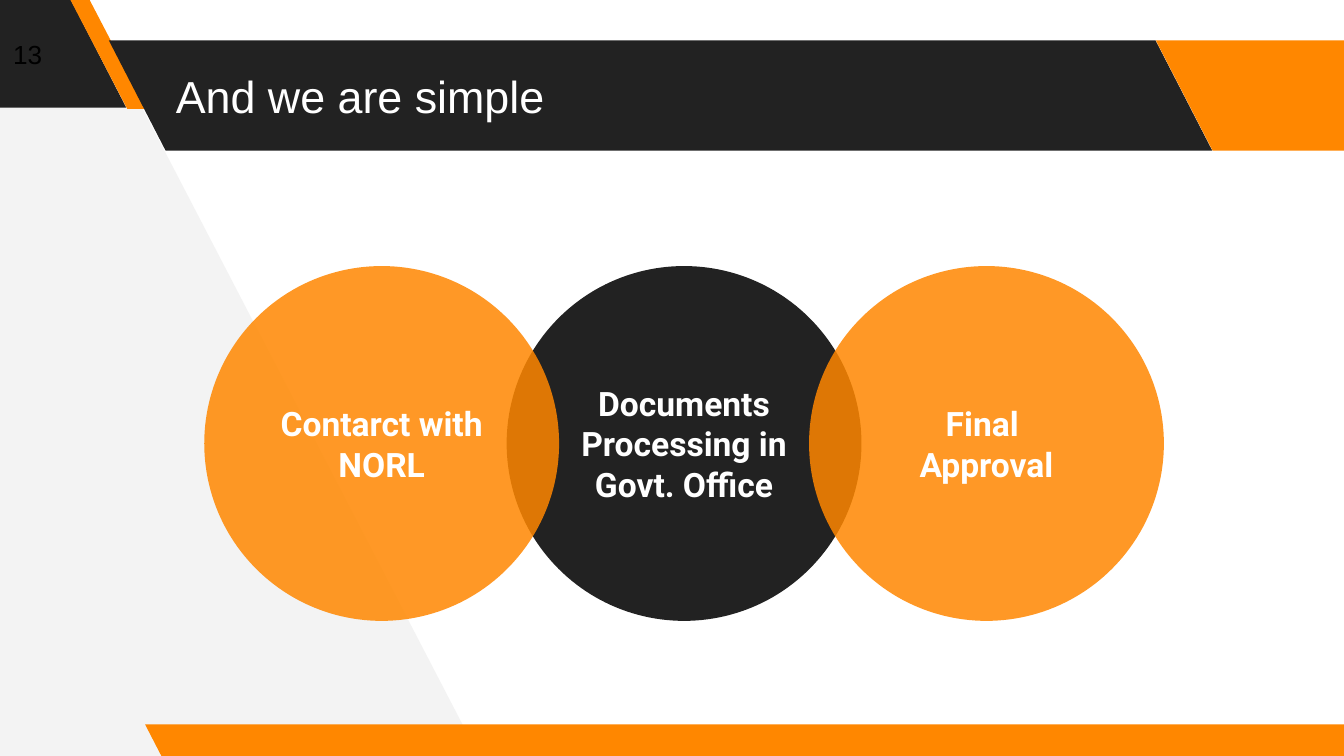
from dataclasses import dataclass

from lxml.etree import SubElement
from pptx import Presentation
from pptx.dml.color import RGBColor
from pptx.enum.shapes import MSO_SHAPE
from pptx.enum.text import MSO_ANCHOR, PP_ALIGN
from pptx.oxml.ns import qn
from pptx.shapes.autoshape import Shape
from pptx.slide import Slide
from pptx.util import Inches, Pt


@dataclass(frozen=True)
class Theme:
    dark: str = "222222"
    orange: str = "FF8700"
    pale: str = "F3F3F3"
    white: str = "FFFFFF"
    black: str = "000000"
    heading_font: str = "Arial"
    body_font: str = "Roboto"
    title_size: int = 24
    label_size: int = 18
    number_size: int = 14


THEME = Theme()


@dataclass(frozen=True)
class Band:
    left: float
    top: float
    width: float
    height: float
    color: str
    slant: float = 0.515


@dataclass(frozen=True)
class Step:
    position: int
    lines: tuple[str, ...]
    color: str
    opacity: int = 100


SLIDE_WIDTH = 10
SLIDE_HEIGHT = SLIDE_WIDTH * 9 / 16

BANDS = (
    Band(-0.99, -0.02, 1.93, 0.82, THEME.dark),
    Band(0.52, -0.01, 0.57, 0.82, THEME.orange, 0.75),
    Band(0.81, 0.3, 8.21, 0.82, THEME.dark),
    Band(8.6, 0.3, 1.92, 0.82, THEME.orange),
    Band(1.08, 5.39, 9.15, 0.25, THEME.orange),
)

# The dark middle circle comes first so the outer ones overlap it
STEPS = (
    Step(1, ("Documents Processing in Govt. Office",), THEME.dark),
    Step(0, ("Contarct with NORL",), THEME.orange, 85),
    Step(2, ("Final ", "Approval"), THEME.orange, 85),
)
CIRCLE_LEFT, CIRCLE_TOP = 1.52, 1.98
CIRCLE_SIZE, CIRCLE_STEP = 2.64, 2.25


def paint(shape: Shape, color: str, opacity: int = 100) -> None:
    shape.shadow.inherit = False
    shape.line.fill.background()
    shape.fill.solid()
    shape.fill.fore_color.rgb = RGBColor.from_string(color)
    if opacity < 100:
        color_element = shape.element.spPr.find(f".//{qn('a:srgbClr')}")
        SubElement(color_element, qn("a:alpha"), val=str(opacity * 1000))


def write(shape: Shape, lines: tuple[str, ...], font: str, size: int, color: str,
          bold: bool = False, align: PP_ALIGN = PP_ALIGN.LEFT) -> None:
    frame = shape.text_frame
    frame.word_wrap = True
    frame.vertical_anchor = MSO_ANCHOR.MIDDLE
    frame.margin_left = frame.margin_right = Inches(0.1)
    frame.margin_top = frame.margin_bottom = Inches(0.1)
    frame.text = "\n".join(lines)
    for paragraph in frame.paragraphs:
        paragraph.alignment = align
        paragraph.font.name = font
        paragraph.font.size = Pt(size)
        paragraph.font.bold = bold
        paragraph.font.color.rgb = RGBColor.from_string(color)


def add_side_panel(slide: Slide) -> None:
    builder = slide.shapes.build_freeform(Inches(3.56), Inches(5.62))
    corners = ((0.62, -0.04), (-0.06, -0.04), (-0.02, 5.66))
    builder.add_line_segments([(Inches(x), Inches(y)) for x, y in corners])
    paint(builder.convert_to_shape(), THEME.pale)


def add_band(slide: Slide, band: Band) -> None:
    shape = slide.shapes.add_shape(
        MSO_SHAPE.PARALLELOGRAM, Inches(band.left), Inches(band.top),
        Inches(band.width), Inches(band.height))
    shape.adjustments[0] = band.slant
    shape.element.spPr.find(qn("a:xfrm")).set("flipH", "1")
    paint(shape, band.color)


def add_step(slide: Slide, step: Step) -> None:
    left = CIRCLE_LEFT + step.position * CIRCLE_STEP
    circle = slide.shapes.add_shape(
        MSO_SHAPE.OVAL, Inches(left), Inches(CIRCLE_TOP),
        Inches(CIRCLE_SIZE), Inches(CIRCLE_SIZE))
    paint(circle, step.color, step.opacity)
    write(circle, step.lines, THEME.body_font, THEME.label_size, THEME.white,
          bold=True, align=PP_ALIGN.CENTER)


def main() -> None:
    presentation = Presentation()
    presentation.slide_width = Inches(SLIDE_WIDTH)
    presentation.slide_height = Inches(SLIDE_HEIGHT)
    slide = presentation.slides.add_slide(presentation.slide_layouts[6])

    # Background panel and slanted bands
    add_side_panel(slide)
    for band in BANDS:
        add_band(slide, band)

    # Title and page number
    title = slide.shapes.add_textbox(Inches(1.21), Inches(0.3), Inches(7.35), Inches(0.82))
    write(title, ("And we are simple",), THEME.heading_font, THEME.title_size, THEME.white)
    number = slide.shapes.add_textbox(Inches(0), Inches(0), Inches(0.7), Inches(0.8))
    write(number, ("13",), THEME.heading_font, THEME.number_size, THEME.black)

    # Overlapping process circles
    for step in STEPS:
        add_step(slide, step)

    presentation.save("out.pptx")


if __name__ == "__main__":
    main()
